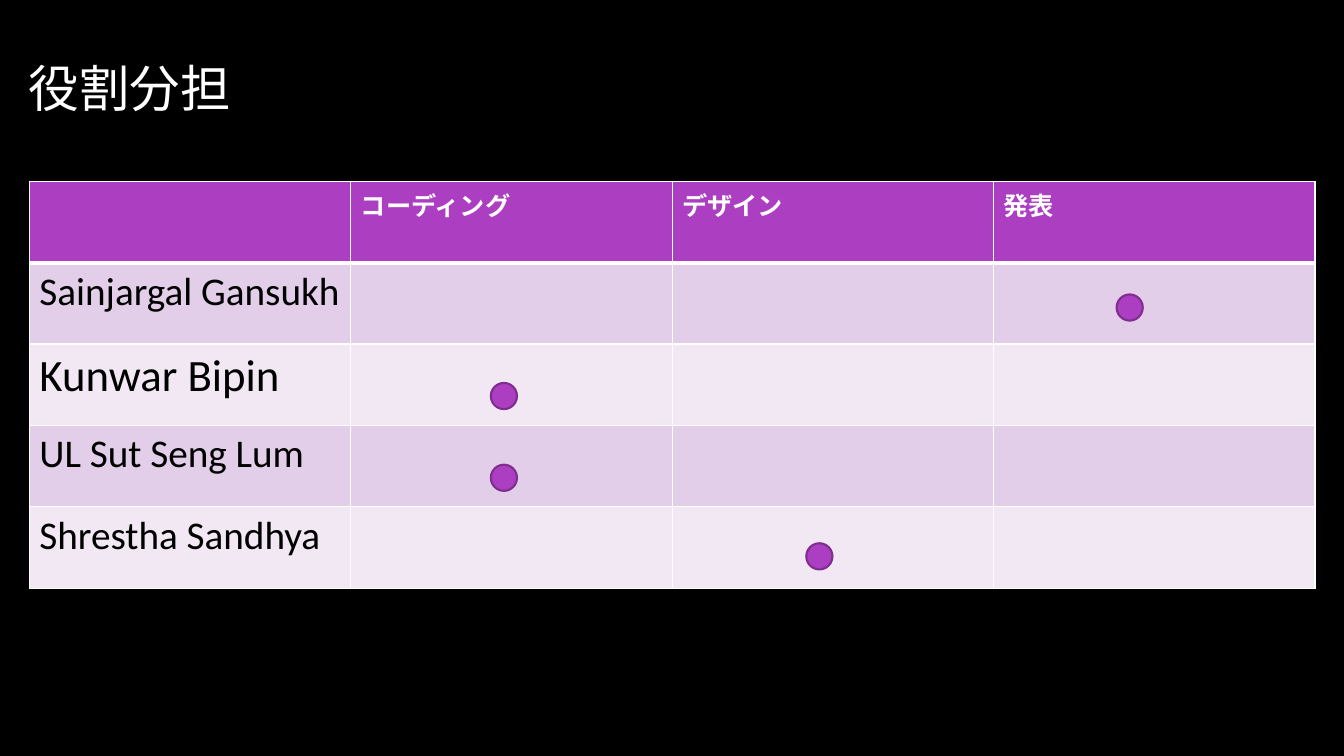
"""Build a slide with a table of who takes which role in the team."""
from lxml.etree import SubElement
from pptx import Presentation
from pptx.dml.color import RGBColor
from pptx.enum.lang import MSO_LANGUAGE_ID as LANG
from pptx.enum.shapes import MSO_SHAPE as SHAPE
from pptx.enum.text import MSO_ANCHOR as ANCHOR
from pptx.oxml.ns import qn
from pptx.util import Cm, Pt

BLACK = RGBColor(0x00, 0x00, 0x00)
WHITE = RGBColor(0xFF, 0xFF, 0xFF)
PURPLE = RGBColor(0xAC, 0x3E, 0xC1)
DARK_PURPLE = RGBColor(0x7F, 0x2E, 0x8F)
BANDS = [RGBColor(0xF1, 0xE8, 0xF4), RGBColor(0xE3, 0xCE, 0xE9)]

ROLES = ["", "コーディング", "デザイン", "発表"]
MEMBERS = [
    ("Sainjargal Gansukh", 28),
    ("Kunwar Bipin", 32),
    ("UL Sut Seng Lum", 28),
    ("Shrestha Sandhya", 28),
]
DOTS = [(12.37, 11.71), (12.37, 9.65), (20.32, 13.69), (28.14, 7.42)]
DOT_SIZE = Cm(0.66)


def write(tf, text, size=18, color=BLACK, bold=False, lang=LANG.ENGLISH_US):
    r = tf.paragraphs[0].add_run()
    r.text = text
    r.font.name = "Calibri"
    r.font.size = Pt(size)
    r.font.bold = bold
    r.font.color.rgb = color
    r.font.language_id = lang


def add_border(cell, side, width):
    ln = SubElement(cell._tc.get_or_add_tcPr(), qn(f"a:ln{side}"), w=str(Pt(width)))
    fill = SubElement(ln, qn("a:solidFill"))
    SubElement(fill, qn("a:srgbClr"), val=str(WHITE))


prs = Presentation()
prs.slide_width, prs.slide_height = Cm(33.87), Cm(19.05)
s = prs.slides.add_slide(prs.slide_layouts[6])
s.background.fill.solid()
s.background.fill.fore_color.rgb = BLACK

title = s.shapes.add_textbox(Cm(0.48), Cm(0.18), Cm(28.14), Cm(4.04))
tf = title.text_frame
tf.word_wrap = True
tf.vertical_anchor = ANCHOR.MIDDLE
write(tf, "役割分担", size=36, color=WHITE, lang=LANG.JAPANESE)

row_count, col_count = len(MEMBERS) + 1, len(ROLES)
frame = s.shapes.add_table(
    row_count, col_count, Cm(0.74), Cm(4.57), Cm(8.1 * col_count), Cm(2.05 * row_count)
)
table = frame.table
for row in range(row_count):
    for col in range(col_count):
        cell = table.cell(row, col)
        add_border(cell, "L", 1)
        add_border(cell, "R", 1)
        add_border(cell, "T", 3 if row == 1 else 1)
        add_border(cell, "B", 3 if row == 0 else 1)
        cell.fill.solid()
        cell.fill.fore_color.rgb = BANDS[row % 2] if row else PURPLE

for col, role in enumerate(ROLES):
    if role:
        write(table.cell(0, col).text_frame, role, color=WHITE, bold=True, lang=LANG.JAPANESE)
for row, (member, size) in enumerate(MEMBERS, start=1):
    write(table.cell(row, 0).text_frame, member, size=size)

for left, top in DOTS:
    dot = s.shapes.add_shape(SHAPE.OVAL, Cm(left), Cm(top), DOT_SIZE, DOT_SIZE)
    dot.shadow.inherit = False
    dot.fill.solid()
    dot.fill.fore_color.rgb = PURPLE
    dot.line.color.rgb = DARK_PURPLE
    dot.line.width = Pt(1.5)

prs.save("out.pptx")
